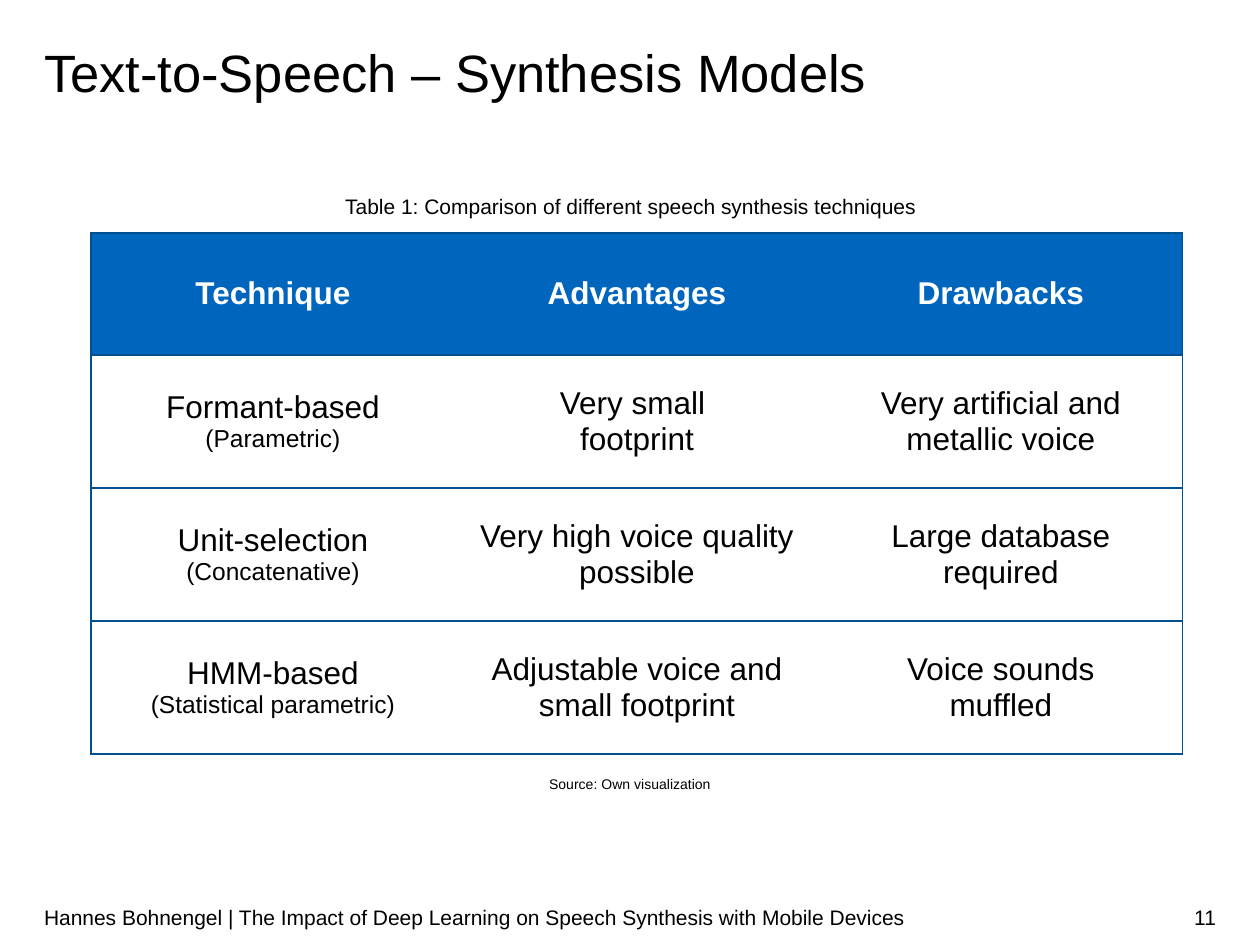
from lxml import etree
from pptx import Presentation, util as u
from pptx.dml.color import RGBColor
from pptx.enum import text as t
from pptx.oxml.ns import qn

FONT = "Arial"
BLACK, WHITE, BLUE, BORDER = "000000", "FFFFFF", "0065BD", "005090"
LEFT, CENTER, RIGHT = t.PP_ALIGN.LEFT, t.PP_ALIGN.CENTER, t.PP_ALIGN.RIGHT
TOP, MIDDLE = t.MSO_ANCHOR.TOP, t.MSO_ANCHOR.MIDDLE

TITLE = "Text-to-Speech – Synthesis Models"
CAPTION = "Table 1: Comparison of different speech synthesis techniques"
SOURCE = "Source: Own visualization"
FOOTER = "Hannes Bohnengel | The Impact of Deep Learning on Speech Synthesis with Mobile Devices"
PAGE = "11"
HEADERS = ["Technique", "Advantages", "Drawbacks"]
TECHNIQUES = [
    (["Formant-based", "(Parametric)"], ["Very small ", "footprint"],
     ["Very artificial and metallic voice"]),
    (["Unit-selection", "(Concatenative)"], ["Very high voice quality possible"],
     ["Large database required"]),
    (["HMM-based", "(Statistical parametric)"], ["Adjustable voice and small footprint"],
     ["Voice sounds", "muffled"]),
]
TABLE_LEFT, TABLE_TOP, COLUMN_WIDTH = 91, 233, 364
HEADER_HEIGHT, ROW_HEIGHT = 122, 133


def px(value):
    return u.Emu(round(value * 914400 / 126))


def color(value):
    return RGBColor.from_string(value)


def write(frame, lines, sizes=(18,), fill=BLACK, bold=False, align=LEFT, spacing=None):
    for index, line in enumerate(lines):
        paragraph = frame.add_paragraph() if index else frame.paragraphs[0]
        paragraph.alignment = align
        if spacing:
            paragraph.line_spacing = spacing
        run = paragraph.add_run()
        run.text = line
        run.font.name = FONT
        run.font.size = u.Pt(sizes[min(index, len(sizes) - 1)])
        run.font.bold = bold
        run.font.color.rgb = color(fill)


def place(shape, box, anchor=TOP, inset=0, wrap=True):
    shape.left, shape.top, shape.width, shape.height = map(px, box)
    frame = shape.text_frame
    frame.margin_left = frame.margin_right = 0
    frame.margin_top = frame.margin_bottom = px(inset)
    frame.vertical_anchor = anchor
    frame.word_wrap = wrap
    frame.auto_size = t.MSO_AUTO_SIZE.NONE
    return frame


def add_text(slide, content, box, size, anchor=TOP, inset=0, wrap=True, **form):
    frame = place(slide.shapes.add_textbox(0, 0, 0, 0), box, anchor, inset, wrap)
    write(frame, [content], sizes=(size,), **form)


def set_borders(cell, visible):
    properties = cell._tc.get_or_add_tcPr()
    for index, side in enumerate(("lnL", "lnR", "lnT", "lnB")):
        line = etree.Element(qn("a:" + side), w=str(u.Pt(0.75)))
        if side in visible:
            fill = etree.SubElement(line, qn("a:solidFill"))
            etree.SubElement(fill, qn("a:srgbClr"), val=BORDER)
        else:
            etree.SubElement(line, qn("a:noFill"))
        properties.insert(index, line)


def add_table(slide):
    rows, columns = len(TECHNIQUES) + 1, len(HEADERS)
    heights = [HEADER_HEIGHT] + [ROW_HEIGHT] * len(TECHNIQUES)
    table = slide.shapes.add_table(
        rows, columns, px(TABLE_LEFT), px(TABLE_TOP),
        px(COLUMN_WIDTH * columns), px(sum(heights))).table
    table.horz_banding = False
    for column in table.columns:
        column.width = px(COLUMN_WIDTH)
    contents = [[[header] for header in HEADERS]] + TECHNIQUES
    for r, (height, row) in enumerate(zip(heights, contents)):
        table.rows[r].height = px(height)
        for c, lines in enumerate(row):
            cell = table.cell(r, c)
            header = r == 0
            cell.vertical_anchor = MIDDLE
            cell.fill.solid()
            cell.fill.fore_color.rgb = color(BLUE if header else WHITE)
            write(cell.text_frame, lines, sizes=(18, 14) if c == 0 else (18,),
                  fill=WHITE if header else BLACK, bold=header, align=CENTER)
            outer = {0: ["lnL"], columns - 1: ["lnR"]}.get(c, [])
            set_borders(cell, ["lnT", "lnB"] + outer)


def main():
    presentation = Presentation()
    presentation.slide_width, presentation.slide_height = px(1260), px(945)
    slide = presentation.slides.add_slide(presentation.slide_layouts[5])
    title = place(slide.shapes.title, (44, 47, 1173, 57))
    write(title, [TITLE], sizes=(30,), spacing=u.Pt(32))
    add_table(slide)
    add_text(slide, CAPTION, (343, 190, 576, 29), 12, wrap=False, align=CENTER, spacing=1.14)
    add_text(slide, SOURCE, (540, 773, 180, 18), 8, align=CENTER, spacing=1.14)
    add_text(slide, FOOTER, (44, 892, 877, 51), 12, MIDDLE, inset=6)
    add_text(slide, PAGE, (1108, 892, 108, 51), 12, MIDDLE, inset=6, align=RIGHT)
    presentation.save("out.pptx")


if __name__ == "__main__":
    main()
